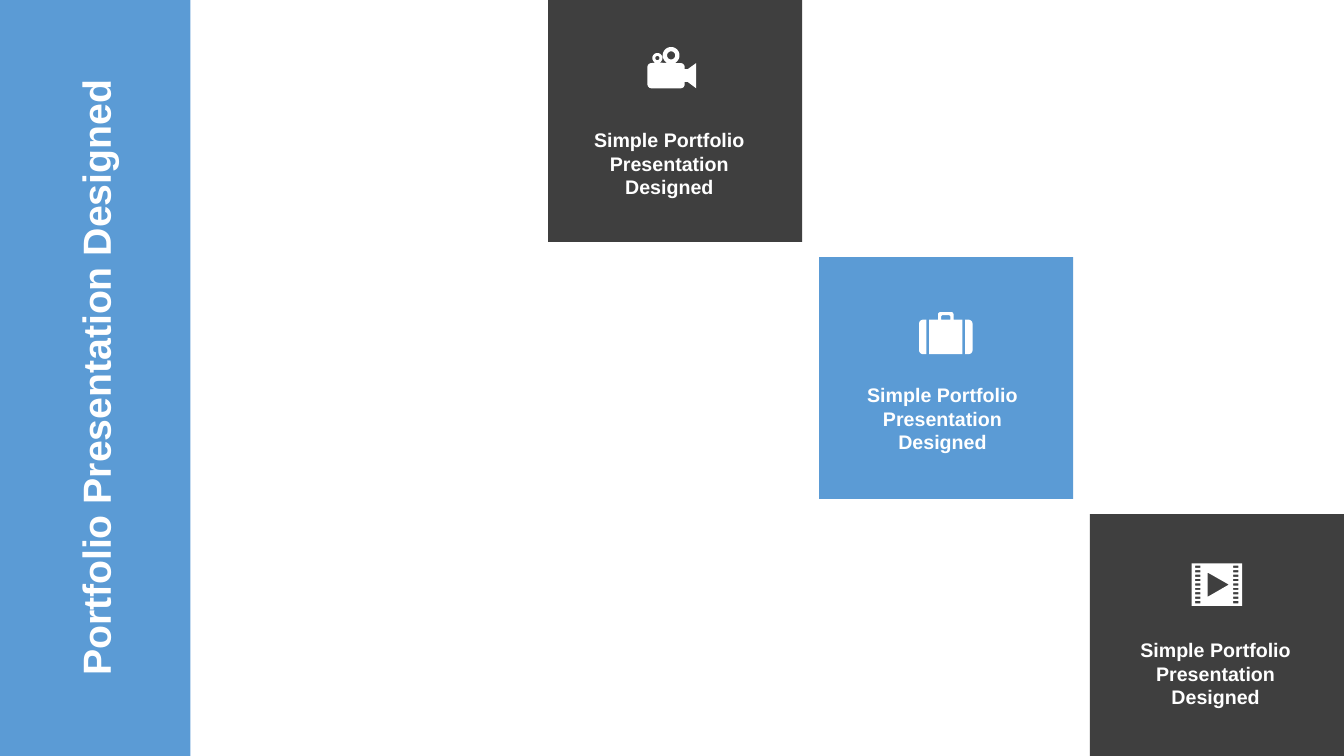
import math

import pptx
import pptx.dml.color
import pptx.enum.shapes
import pptx.enum.text
import pptx.util

Pt = pptx.util.Pt
RGBColor = pptx.dml.color.RGBColor
PP_ALIGN = pptx.enum.text.PP_ALIGN
MSO_ANCHOR = pptx.enum.text.MSO_ANCHOR
MSO_AUTO_SIZE = pptx.enum.text.MSO_AUTO_SIZE
MSO_SHAPE = pptx.enum.shapes.MSO_SHAPE

BLUE = RGBColor(0x5B, 0x9B, 0xD5)
DARK = RGBColor(0x3F, 0x3F, 0x3F)
WHITE = RGBColor(0xFF, 0xFF, 0xFF)


def paint(sp, color):
    sp.shadow.inherit = False
    sp.fill.solid()
    sp.fill.fore_color.rgb = color
    sp.line.fill.background()


def add_panel(s, x, y, w, h, color):
    sp = s.shapes.add_shape(MSO_SHAPE.RECTANGLE, Pt(x), Pt(y), Pt(w), Pt(h))
    paint(sp, color)
    return sp


def set_text(tf, text, size):
    tf.word_wrap = True
    p = tf.paragraphs[0]
    p.text = text
    p.alignment = PP_ALIGN.CENTER
    p.font.name = "Arial"
    p.font.size = Pt(size)
    p.font.bold = True
    p.font.color.rgb = WHITE


def add_title(s, text, bar):
    sp = s.shapes.title
    sp.left, sp.top, sp.width, sp.height = Pt(-188.64), Pt(252), Pt(513.36), Pt(36)
    sp.rotation = 270
    tf = sp.text_frame
    set_text(tf, text, 28)
    tf.auto_size = MSO_AUTO_SIZE.NONE
    tf.vertical_anchor = MSO_ANCHOR.MIDDLE
    sp.element.addprevious(bar.element)


def add_label(s, x, y, text):
    tf = s.shapes.add_textbox(Pt(x), Pt(y), Pt(126.72), Pt(58.32)).text_frame
    tf.margin_left = 0
    set_text(tf, text, 14)
    tf.auto_size = MSO_AUTO_SIZE.SHAPE_TO_FIT_TEXT


def add_icon(s, x, y, contours):
    fb = None
    for contour in contours:
        points = [(Pt(x + dx), Pt(y + dy)) for dx, dy in contour]
        if fb is None:
            fb = s.shapes.build_freeform(*points[0])
        else:
            fb.move_to(*points[0])
        fb.add_line_segments(points[1:], close=True)
    paint(fb.convert_to_shape(), WHITE)


def box(x1, y1, x2, y2):
    return [(x1, y1), (x2, y1), (x2, y2), (x1, y2)]


def arc(cx, cy, radius, start, end):
    steps = math.ceil((end - start) / 10)
    angles = [math.radians(start + (end - start) * i / steps) for i in range(steps + 1)]
    return [(cx + radius * math.cos(a), cy + radius * math.sin(a)) for a in angles]


def camera():
    lens = [(26.6, 15.8), (28.8, 15.8), (34.8, 11.5),
            (34.8, 29.5), (28.8, 25), (26.6, 25)]
    outline = (arc(7.1, 7.9, 3.6, 115, 425) + arc(16.9, 6, 6, 115, 425)
               + arc(23.7, 14.4, 2.9, 270, 360) + lens
               + arc(23.7, 26.6, 2.9, 0, 90) + arc(2.9, 26.6, 2.9, 90, 180)
               + arc(2.9, 14.4, 2.9, 180, 270))
    return [outline, arc(7.1, 7.9, 1.5, 0, 350), arc(16.9, 6, 2.9, 0, 350)]


def suitcase():
    left = [(5.3, 5.4), (5.3, 30)] + arc(2.9, 27.1, 2.9, 90, 180) + arc(2.9, 8.3, 2.9, 180, 270)
    right = [(38.2 - x, y) for x, y in left]
    middle = ([(7.2, 5.4), (13.6, 5.4)] + arc(15.1, 1.5, 1.5, 180, 270)
              + arc(23.1, 1.5, 1.5, 270, 360)
              + [(24.6, 5.4), (31, 5.4), (31, 30), (7.2, 30)])
    grip = [(15.8, 5.4), (15.8, 3), (16.6, 2.2), (21.6, 2.2), (22.4, 3), (22.4, 5.4)]
    return [left, right, middle, grip]


def film():
    holes = [box(x, 1.6 + 3.15 * i, x + 3.8, 3.2 + 3.15 * i)
             for i in range(9) for x in (2.5, 29.7)]
    play = [(11.5, 6.5), (11.5, 23.8), (26.6, 15.1)]
    return [box(0, 0, 36, 30.24), play] + holes


def main():
    prs = pptx.Presentation()
    prs.slide_width, prs.slide_height = Pt(960), Pt(540)
    s = prs.slides.add_slide(prs.slide_layouts[5])

    bar = add_panel(s, 0, 0, 136, 540, BLUE)
    add_title(s, "Portfolio Presentation Designed", bar)

    cards = [(DARK, camera(), 462.5, 33.6),
             (BLUE, suitcase(), 656.5, 223),
             (DARK, film(), 851.2, 402.5)]
    for i, (color, icon, x, y) in enumerate(cards):
        add_panel(s, 391.5 + 193.5 * i, 183.6 * i, 181.5, 172.8, color)
        add_label(s, 418.32 + 195.1 * i, 87.84 + 182.2 * i,
                  "Simple Portfolio Presentation Designed")
        add_icon(s, x, y, icon)

    prs.save("out.pptx")


if __name__ == "__main__":
    main()
